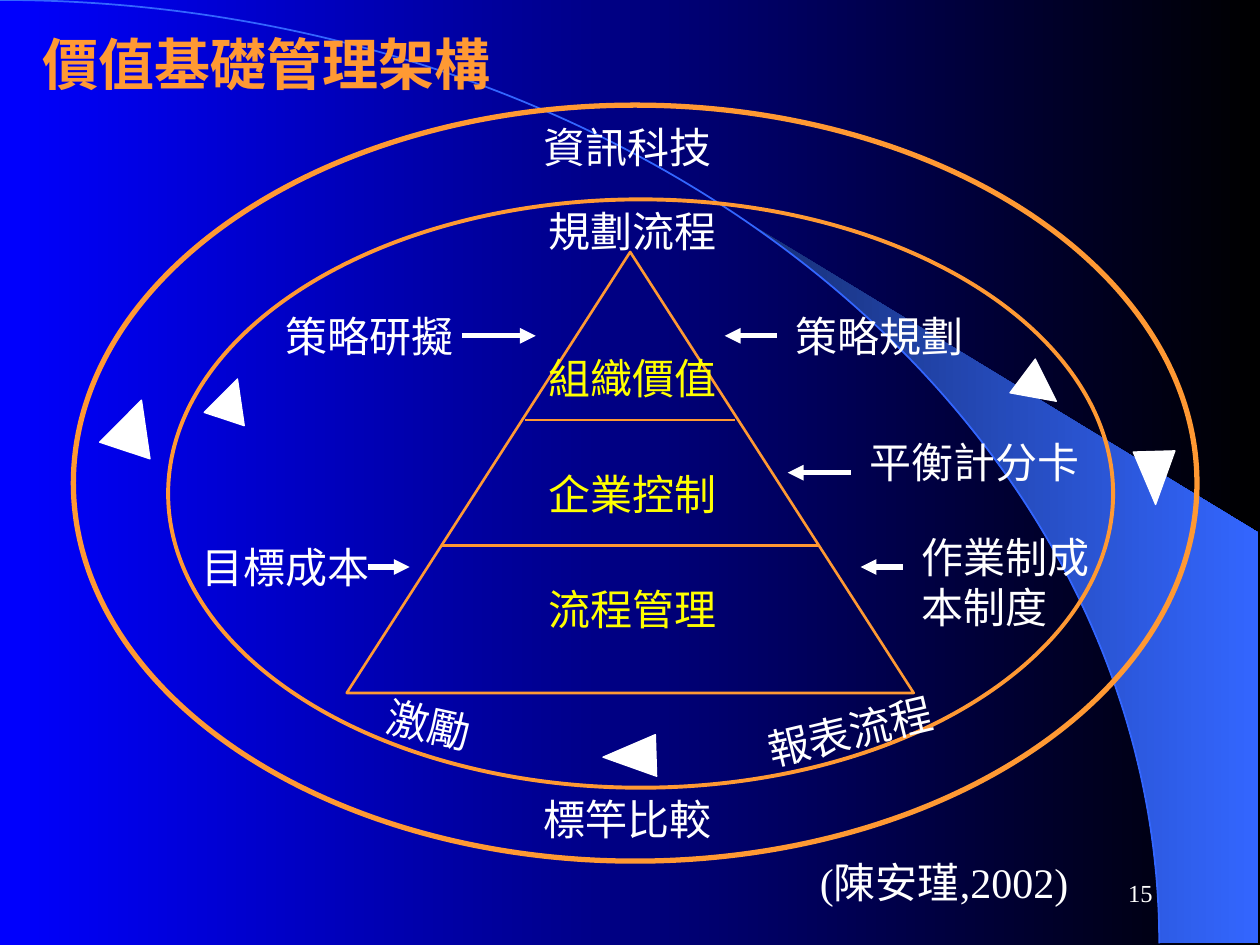
"""Build the value-based management framework slide."""
from math import cos, radians, sin

from lxml.etree import SubElement
from pptx import Presentation
from pptx.dml.color import RGBColor
from pptx.enum.shapes import MSO_CONNECTOR, MSO_SHAPE
from pptx.enum.text import MSO_ANCHOR, MSO_AUTO_SIZE, PP_ALIGN
from pptx.oxml.ns import qn
from pptx.util import Cm, Pt

ORANGE, WHITE, YELLOW = "FF9933", "FFFFFF", "FFFF00"
BLUE, SKY, NAVY, BLACK = "0000FF", "3366FF", "172F75", "000000"


def paint(fill, *tones):
    """Fill with one tone, or with a left-to-right blend of two."""
    if len(tones) == 1:
        fill.solid()
        fill.fore_color.rgb = RGBColor.from_string(tones[0])
        return
    fill.gradient()
    fill.gradient_angle = 0
    for stop, tone in zip(fill.gradient_stops, tones):
        stop.color.rgb = RGBColor.from_string(tone)


def write(x, y, wide, high, lines, tone=WHITE, size=24, turn=0):
    """Place a text box and return its frame."""
    box = slide.shapes.add_textbox(Cm(x), Cm(y), Cm(wide), Cm(high))
    box.rotation = turn
    frame = box.text_frame
    frame.word_wrap = False
    frame.auto_size = MSO_AUTO_SIZE.SHAPE_TO_FIT_TEXT
    for i, line in enumerate(lines):
        para = frame.add_paragraph() if i else frame.paragraphs[0]
        run = para.add_run()
        run.text = line
        run.font.name = "Times New Roman"
        run.font.size = Pt(size)
        paint(run.font.fill, tone)
    return frame


deck = Presentation()
deck.slide_width, deck.slide_height = Cm(25.4), Cm(19.05)
slide = deck.slides.add_slide(deck.slide_layouts[6])
paint(slide.background.fill, BLUE, BLACK)

wide, high, edge = 23.37, 19.02, 25.37
curve = [(wide * sin(radians(d)), high * (1 - cos(radians(d)))) for d in range(40, 91, 2)]
points = [(Cm(x), Cm(y)) for x, y in curve + [(edge, high), (edge, 10.74)]]
pen = slide.shapes.build_freeform(*points[0], scale=1.0)
pen.add_line_segments(points[1:], close=True)
wedge = pen.convert_to_shape()
wedge.shadow.inherit = False
paint(wedge.fill, NAVY, SKY)
wedge.line.fill.background()

outlines = [
    (MSO_SHAPE.ARC, -wide, 0, 2 * wide, 2 * high, SKY, 1),
    (MSO_SHAPE.OVAL, 1.48, 2.12, 22.65, 15.24, ORANGE, 3),
    (MSO_SHAPE.OVAL, 3.39, 4.02, 19.05, 11.86, ORANGE, 2.25),
    (MSO_SHAPE.ISOSCELES_TRIANGLE, 6.99, 5.08, 11.43, 8.89, ORANGE, 1.5),
]
for kind, x, y, w, h, tone, thick in outlines:
    ring = slide.shapes.add_shape(kind, Cm(x), Cm(y), Cm(w), Cm(h))
    ring.shadow.inherit = False
    ring.fill.background()
    paint(ring.line.fill, tone)
    ring.line.width = Pt(thick)

bars = [
    (10.58, 14.82, 8.47, ORANGE),
    (8.89, 16.51, 11, ORANGE),
    (9.31, 10.8, 6.77, WHITE),
    (15.66, 14.61, 6.77, WHITE),
    (17.15, 15.88, 9.53, WHITE),
    (18.2, 17.35, 11.43, WHITE),
    (7.41, 8.26, 11.43, WHITE),
]
for start, end, y, tone in bars:
    bar = slide.shapes.add_connector(MSO_CONNECTOR.STRAIGHT, Cm(start), Cm(y), Cm(end), Cm(y))
    paint(bar.line.fill, tone)
    bar.line.width = Pt(3 if tone == WHITE else 1.5)
    props = bar._element.spPr
    if tone == WHITE:
        SubElement(props.find(qn("a:ln")), qn("a:tailEnd"), type="triangle")
    SubElement(props, qn("a:effectLst"))

heads = [
    (22.86, 9.1, 0.84, 1.07, 178.4),
    (12.27, 14.71, 0.84, 1.07, 268.2),
    (2.15, 8.04, 1.07, 1.07, 18.3),
    (4.23, 7.62, 0.85, 0.85, 18.3),
    (20.53, 7.41, 0.85, 0.85, 126.9),
]
for x, y, w, h, turn in heads:
    head = slide.shapes.add_shape(MSO_SHAPE.ISOSCELES_TRIANGLE, Cm(x), Cm(y), Cm(w), Cm(h))
    head.shadow.inherit = False
    head.rotation = turn
    paint(head.fill, WHITE)
    paint(head.line.fill, WHITE)
    head.line.width = Pt(0.75)

labels = [
    (10.71, 2.33, "資訊科技", WHITE),
    (10.71, 15.88, "標竿比較", WHITE),
    (10.8, 4.02, "規劃流程", WHITE),
    (10.8, 6.99, "組織價值", YELLOW),
    (10.8, 9.32, "企業控制", YELLOW),
    (10.8, 11.64, "流程管理", YELLOW),
    (15.79, 6.14, "策略規劃", WHITE),
    (5.5, 6.14, "策略研擬", WHITE),
    (3.81, 10.8, "目標成本", WHITE),
]
for x, y, word, tone in labels:
    write(x, y, 3.9, 1.27, [word], tone)
write(17.27, 8.68, 4.76, 1.27, ["平衡計分卡"])
write(18.33, 10.58, 3.9, 2.29, ["作業制成", "本制度"])
write(7.56, 13.97, 2.22, 1.27, ["激勵"], turn=12.2)
write(15.19, 14.1, 3.9, 1.27, ["報表流程"], turn=-13.5)
write(16.28, 17.15, 5.92, 1.27, ["(陳安瑾,2002)"])

title = write(0.61, 0.48, 9.55, 1.63, ["價值基礎管理架構"], ORANGE, 32)
title.paragraphs[0].runs[0].font.bold = True
page = write(18.21, 17.36, 5.28, 1.27, ["15"], size=14)
page.word_wrap = True
page.auto_size = MSO_AUTO_SIZE.NONE
page.vertical_anchor = MSO_ANCHOR.MIDDLE
page.paragraphs[0].alignment = PP_ALIGN.RIGHT

deck.save("out.pptx")
